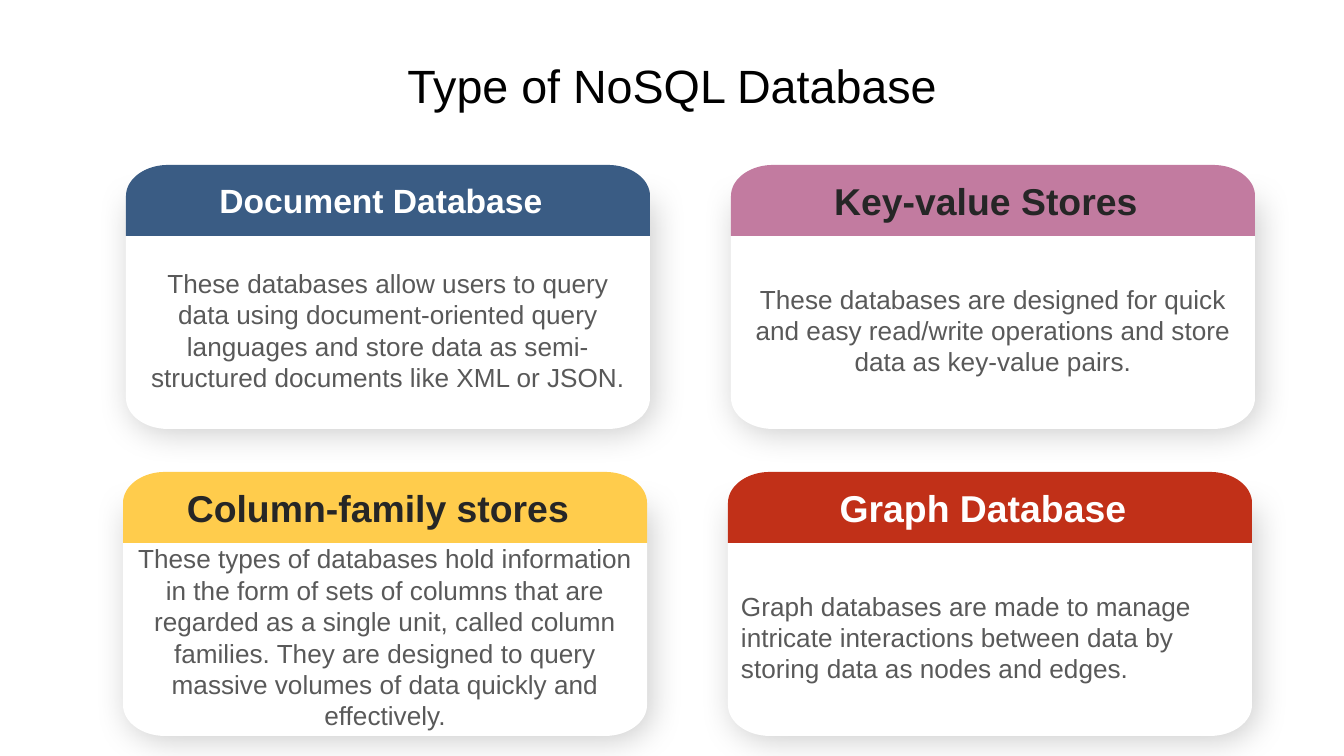
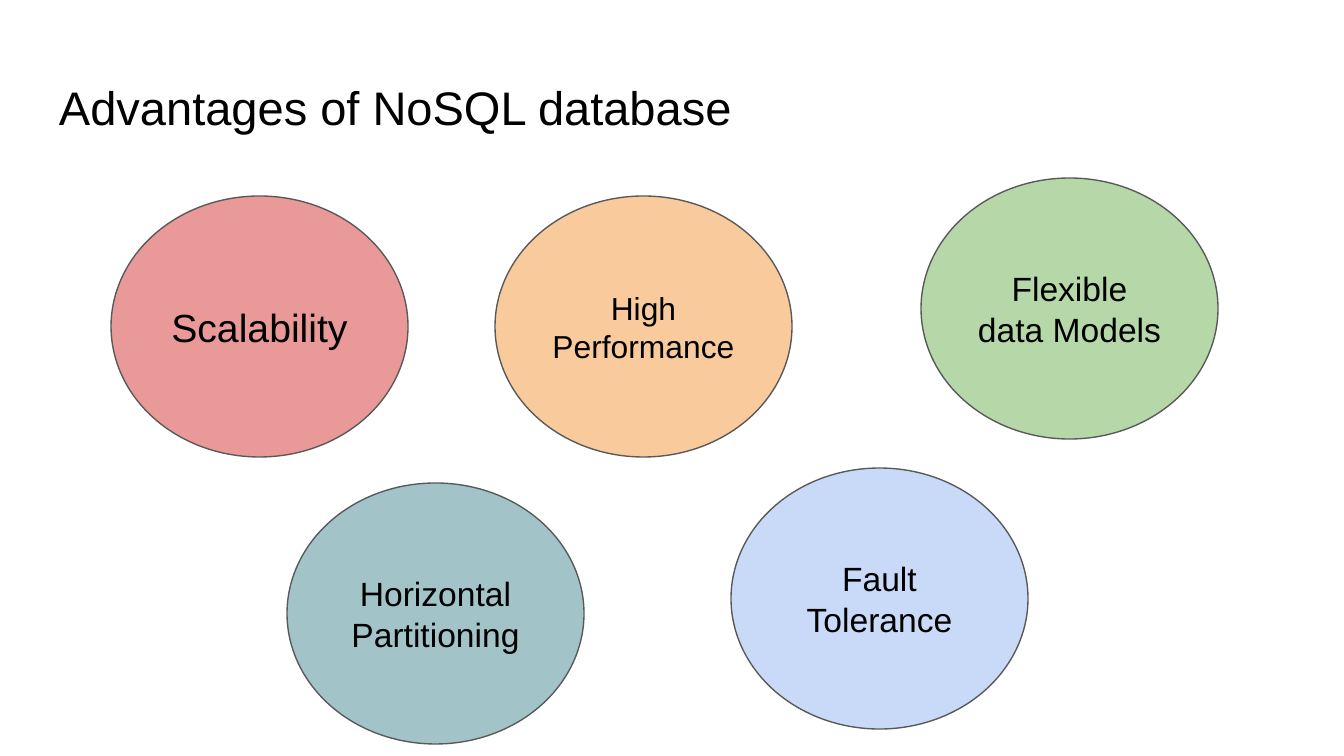
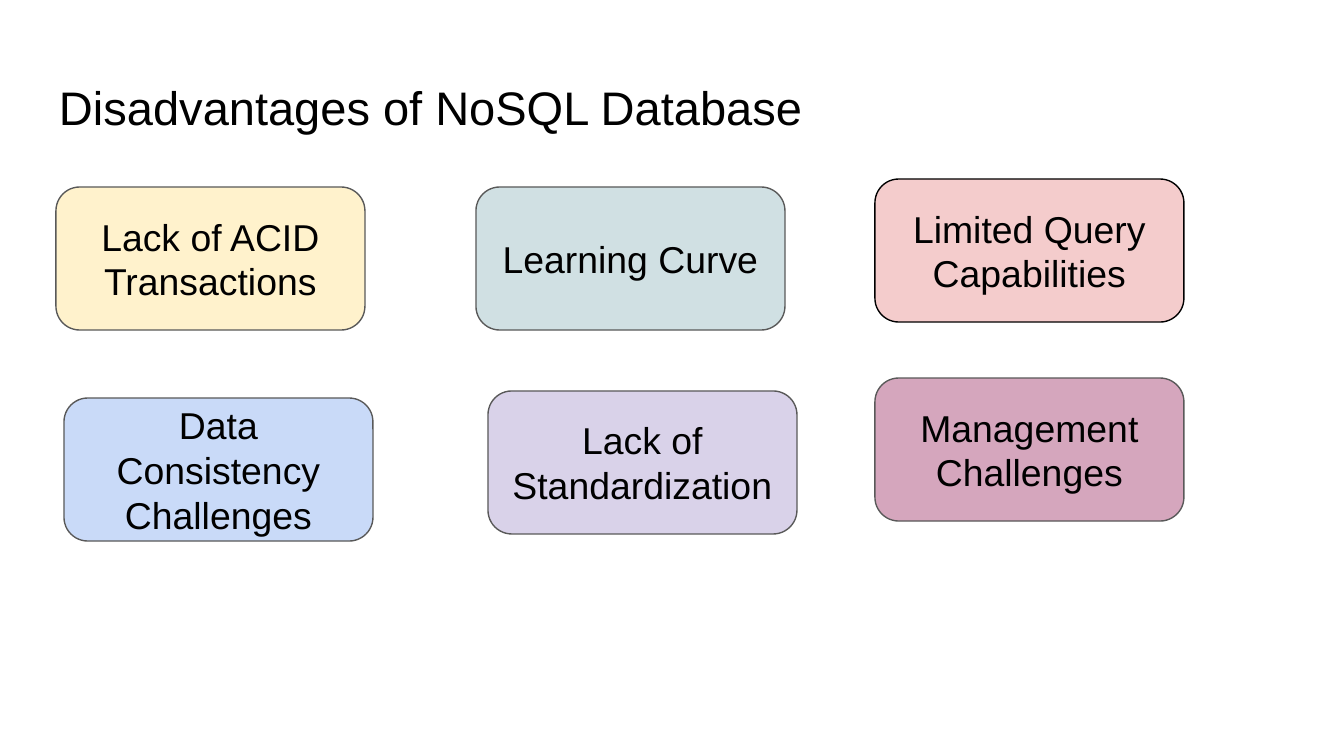
from typing import NamedTuple

from lxml import etree
from pptx import Presentation
from pptx.dml.color import RGBColor
from pptx.enum.shapes import MSO_SHAPE
from pptx.enum.text import MSO_ANCHOR, MSO_AUTO_SIZE, PP_ALIGN
from pptx.oxml.ns import qn
from pptx.util import Pt

ELLIPSE = MSO_SHAPE.OVAL
ROUNDED = MSO_SHAPE.FLOWCHART_ALTERNATE_PROCESS
TOP, MIDDLE = MSO_ANCHOR.TOP, MSO_ANCHOR.MIDDLE
LEFT, CENTER = PP_ALIGN.LEFT, PP_ALIGN.CENTER
NO_AUTOFIT = MSO_AUTO_SIZE.NONE

EMU_PER_PX = 914400 / 134.4
FONT = "Arial"
BLACK, WHITE, DARK, GRAY = "000000", "FFFFFF", "262626", "595959"
TITLE_ONLY = 5
TITLE_LEFT, TITLE_WIDTH, TITLE_HEIGHT = 46, 1252, 85
EVEN_INSETS = (13, 13, 13, 13)
HEADER_INSETS = (13, 7, 27, 7)
BODY_INSETS = (13, 40, 13, 7)
CARD_WIDTH, CARD_HEIGHT, HEADER_HEIGHT, BODY_OFFSET = 524, 264, 71, 33
CORNER_WIDTH, CORNER_HEIGHT, ARC_PULL = 42, 31, 0.55
COLUMN_PITCH = 605
CARD_ROWS = [(126, 165), (123, 472)]
ELLIPSE_SIZE = (297, 261)
ROUNDED_SIZE = (309, 143)

CARDS = [
    ("Document Database", 18, WHITE, "3A5C84", CENTER,
     "These databases allow users to query data using document-oriented query "
     "languages and store data as semi-structured documents like XML or JSON."),
    ("Key-value Stores", 20, DARK, "C27BA0", CENTER,
     "These databases are designed for quick and easy read/write operations "
     "and store data as key-value pairs."),
    ("Column-family stores", 20, DARK, "FFCC4C", CENTER,
     "These types of databases hold information in the form of sets of columns "
     "that are regarded as a single unit, called column families. They are "
     "designed to query massive volumes of data quickly and effectively."),
    ("Graph Database", 20, WHITE, "C13018", LEFT,
     "Graph databases are made to manage intricate interactions between data "
     "by storing data as nodes and edges."),
]
ADVANTAGES = [
    ("Scalability", 111, 196, "EA9999", GRAY, 21),
    ("High Performance", 495, 196, "F9CB9C", GRAY, 17),
    ("Flexible data Models", 921, 178, "B6D7A8", GRAY, 18),
    ("Horizontal Partitioning", 287, 483, "A2C4C9", GRAY, 18),
    ("Fault Tolerance", 731, 468, "C9DAF8", GRAY, 18),
]
DISADVANTAGES = [
    ("Lack of ACID Transactions", 56, 187, "FFF2CC", GRAY, 20),
    ("Learning Curve", 476, 187, "D0E0E3", GRAY, 20),
    ("Limited Query Capabilities", 875, 179, "F4CCCC", BLACK, 20),
    ("Data Consistency Challenges", 64, 398, "C9DAF8", GRAY, 20),
    ("Lack of Standardization", 488, 391, "D9D2E9", GRAY, 20),
    ("Management Challenges", 875, 378, "D5A6BD", GRAY, 20),
]


class Box(NamedTuple):
    """A rectangle in px."""
    left: int
    top: int
    width: int
    height: int


def px(value):
    """Turn px into EMU."""
    return round(value * EMU_PER_PX)


def color(value):
    """Turn a hex string into a colour."""
    return RGBColor.from_string(value)


def set_attributes(target, values):
    """Set every attribute named in a dict."""
    for name, value in values.items():
        setattr(target, name, value)


def write(shape, text, size, ink=BLACK, align=CENTER, anchor=MIDDLE,
          insets=EVEN_INSETS, bold=False):
    """Put one formatted paragraph into a shape."""
    left, top, right, bottom = map(px, insets)
    frame = shape.text_frame
    set_attributes(frame, {
        "word_wrap": True, "auto_size": NO_AUTOFIT, "vertical_anchor": anchor,
        "margin_left": left, "margin_top": top,
        "margin_right": right, "margin_bottom": bottom})
    paragraph = frame.paragraphs[0]
    paragraph.alignment = align
    run = paragraph.add_run()
    run.text = text
    set_attributes(run.font, {"name": FONT, "size": Pt(size), "bold": bold})
    run.font.color.rgb = color(ink)


def paint(shape, fill, line=None):
    """Give a shape a flat fill and an optional thin outline."""
    shape.shadow.inherit = False
    shape.fill.solid()
    shape.fill.fore_color.rgb = color(fill)
    if line is None:
        shape.line.fill.background()
    else:
        shape.line.color.rgb = color(line)
        shape.line.width = Pt(0.75)


def add_soft_shadow(shape):
    """Add a blurred, mostly transparent shadow."""
    effects = shape.element.spPr.find(qn("a:effectLst"))
    shadow = etree.SubElement(effects, qn("a:outerShdw"), {
        "blurRad": str(Pt(18)), "dist": str(Pt(3)), "dir": "2700000",
        "algn": "tl", "rotWithShape": "0"})
    ink = etree.SubElement(shadow, qn("a:srgbClr"), val=BLACK)
    etree.SubElement(ink, qn("a:alpha"), val="20000")


def bend_corners(shape, round_top):
    """Turn each slanted segment of an outline into a curve."""
    outline = next(shape.element.iter(qn("a:path")))
    previous = None
    for segment in list(outline):
        point = segment.find(qn("a:pt"))
        if point is None:
            continue
        end = int(point.get("x")), int(point.get("y"))
        if previous and previous[0] != end[0] and previous[1] != end[1]:
            outer_x = max if end[0] > shape.width / 2 else min
            outer_y = min if round_top else max
            corner = outer_x(previous[0], end[0]), outer_y(previous[1], end[1])
            segment.tag = qn("a:cubicBezTo")
            for index, anchor in enumerate((previous, end)):
                x, y = (round(start + ARC_PULL * (target - start))
                        for start, target in zip(anchor, corner))
                control = etree.Element(qn("a:pt"), x=str(x), y=str(y))
                segment.insert(index, control)
        previous = end


def add_half_rounded(slide, box, round_top):
    """Draw a rectangle whose top or bottom corners are rounded."""
    left, top, right, bottom = (
        box.left, box.top, box.left + box.width, box.top + box.height)
    inner_left, inner_right = left + CORNER_WIDTH, right - CORNER_WIDTH
    if round_top:
        side = top + CORNER_HEIGHT
        points = [(inner_left, top), (inner_right, top), (right, side),
                  (right, bottom), (left, bottom), (left, side),
                  (inner_left, top)]
    else:
        side = bottom - CORNER_HEIGHT
        points = [(left, top), (right, top), (right, side),
                  (inner_right, bottom), (inner_left, bottom), (left, side)]
    start, *rest = [(px(x), px(y)) for x, y in points]
    builder = slide.shapes.build_freeform(*start)
    builder.add_line_segments(rest, close=True)
    shape = builder.convert_to_shape()
    bend_corners(shape, round_top)
    return shape


def add_titled_slide(presentation, text, top, size, align=LEFT):
    """Add a slide with a formatted title."""
    slide = presentation.slides.add_slide(
        presentation.slide_layouts[TITLE_ONLY])
    title = slide.shapes.title
    set_attributes(title, {
        "left": px(TITLE_LEFT), "top": px(top),
        "width": px(TITLE_WIDTH), "height": px(TITLE_HEIGHT)})
    write(title, text, size, align=align, anchor=TOP)
    return slide


def add_card_body(slide, box, text, align):
    """Add the white, shadowed lower part of a card."""
    body = add_half_rounded(slide, Box(
        box.left, box.top + BODY_OFFSET,
        box.width, box.height - BODY_OFFSET), False)
    paint(body, WHITE)
    add_soft_shadow(body)
    write(body, text, 14, GRAY, align, insets=BODY_INSETS)


def add_card_header(slide, box, text, size, ink, fill):
    """Add the coloured upper part of a card."""
    header = add_half_rounded(slide, box._replace(height=HEADER_HEIGHT), True)
    paint(header, fill)
    write(header, text, size, ink, insets=HEADER_INSETS, bold=True)


def add_label(slide, kind, box, text, fill, line, size):
    """Add an outlined shape with a centred label."""
    shape = slide.shapes.add_shape(kind, *map(px, box))
    paint(shape, fill, line)
    write(shape, text, size)


def build_types(presentation):
    """Build the slide of database types."""
    slide = add_titled_slide(
        presentation, "Type of NoSQL Database", 44, 25, CENTER)
    for row, (left, top) in enumerate(CARD_ROWS):
        cards = [
            (Box(left + column * COLUMN_PITCH, top, CARD_WIDTH, CARD_HEIGHT),
             CARDS[2 * row + column]) for column in range(2)]
        for box, (*_, align, text) in cards:
            add_card_body(slide, box, text, align)
        for box, (heading, size, ink, fill, *_) in cards:
            add_card_header(slide, box, heading, size, ink, fill)


def build_labels(presentation, title, kind, size, labels):
    """Build a slide of equally large labelled shapes."""
    slide = add_titled_slide(presentation, title, 65, 25.2)
    for text, left, top, *style in labels:
        add_label(slide, kind, Box(left, top, *size), text, *style)


def main():
    """Build and save the presentation."""
    presentation = Presentation()
    set_attributes(presentation, {
        "slide_width": px(1344), "slide_height": px(756)})
    build_types(presentation)
    build_labels(presentation, "Advantages of NoSQL database",
                 ELLIPSE, ELLIPSE_SIZE, ADVANTAGES)
    build_labels(presentation, "Disadvantages of NoSQL Database",
                 ROUNDED, ROUNDED_SIZE, DISADVANTAGES)
    presentation.save("out.pptx")


if __name__ == "__main__":
    main()
